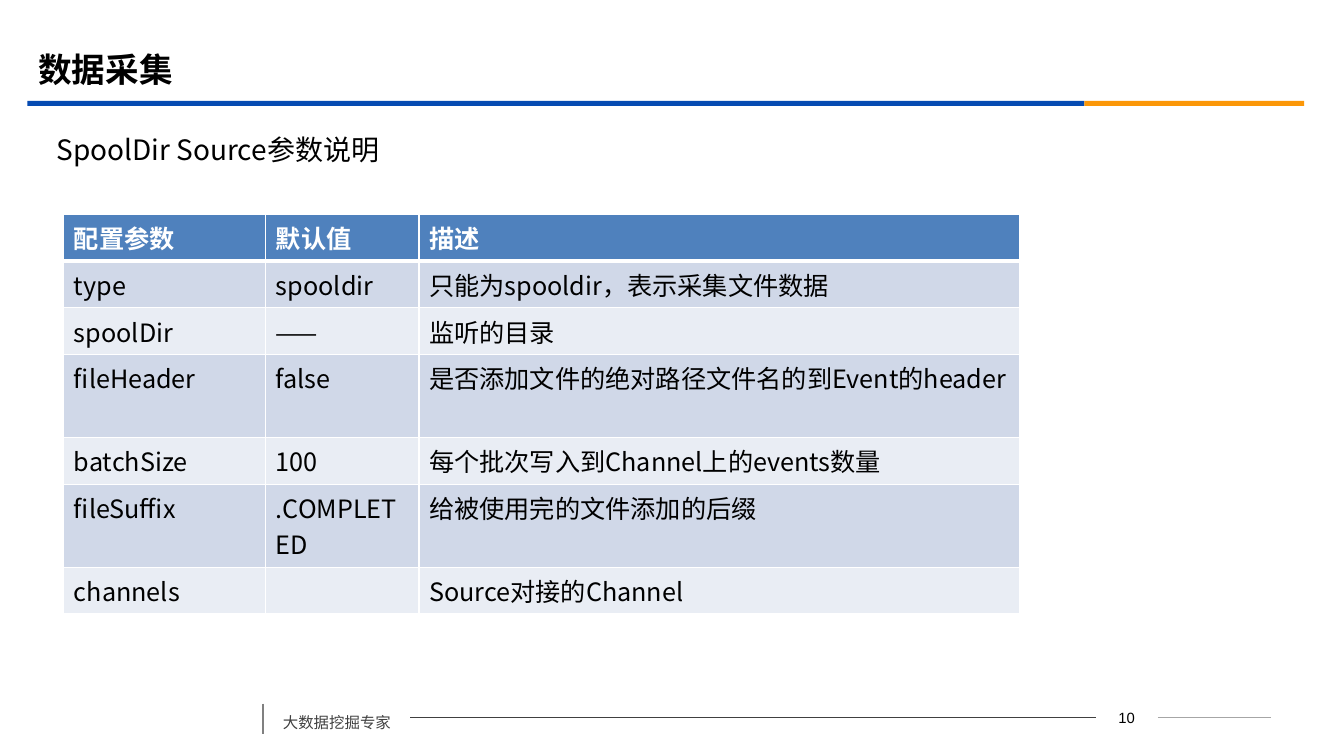
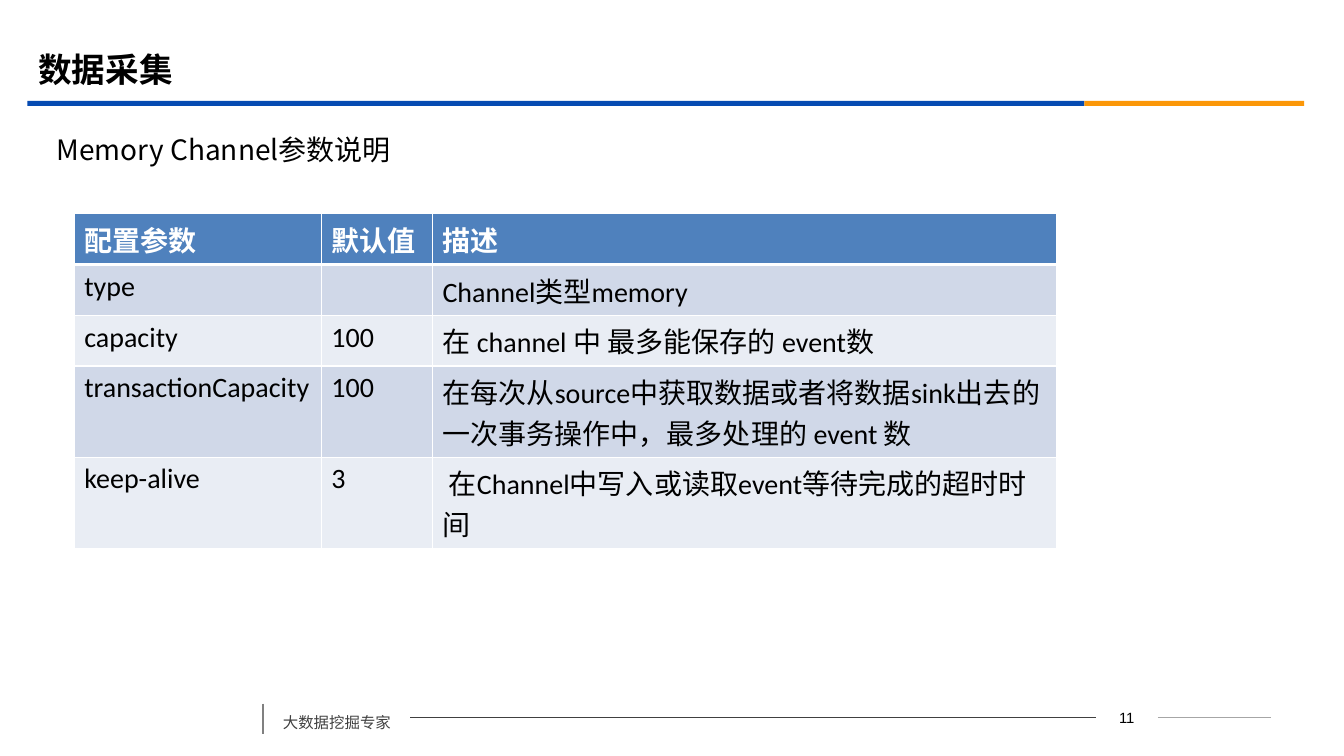
from dataclasses import dataclass
from itertools import product

from lxml import etree
from pptx import Presentation
from pptx import util as u
from pptx.dml.color import RGBColor
from pptx.enum import shapes, text
from pptx.oxml.ns import qn

CJK, BLUE, ORANGE = "Noto Sans CJK SC", "064BB2", "FB9708"
HEADER, BANDS = "4F81BD", ("D0D8E8", "E9EDF4")
TITLE_STYLE = {"size": u.Pt(24), "name": CJK, "bold": True}
SUBTITLE_STYLE = {"size": u.Pt(20), "name": CJK, "bold": False}
RULE_Y = 18.08
LINE_FACTOR, CELL_PADDING = 1.45, 7.2


@dataclass(frozen=True)
class Box:
    left: float
    top: float
    width: float
    height: float

    def lengths(self) -> list:
        return [u.Cm(v) for v in (self.left, self.top, self.width, self.height)]


@dataclass(frozen=True)
class ParameterPage:
    number: int
    subtitle: str
    left: float
    top: float
    columns: tuple
    font: str
    size: int
    two_line_rows: tuple
    rows: tuple

    def row_heights(self) -> list:
        lines = [2 if row in self.two_line_rows else 1 for row in range(len(self.rows) + 1)]
        return [u.Pt(LINE_FACTOR * self.size * count + CELL_PADDING) for count in lines]


HEADINGS = ("配置参数", "默认值", "描述")
PAGES = (
    ParameterPage(10, "SpoolDir Source参数说明", 1.61, 5.41, (5.09, 3.86, 15.14), CJK, 18, (3, 5), (
        ("type", "spooldir", "只能为spooldir，表示采集文件数据"),
        ("spoolDir", "——", "监听的目录"),
        ("fileHeader", "false", "是否添加文件的绝对路径文件名的到Event的header"),
        ("batchSize", "100", "每个批次写入到Channel上的events数量"),
        ("fileSuffix", ".COMPLETED", "给被使用完的文件添加的后缀"),
        ("channels", "", "Source对接的Channel"),
    )),
    ParameterPage(11, "Memory Channel参数说明", 1.87, 5.39, (6.23, 2.8, 15.72), "Calibri", 20, (3, 4), (
        ("type", "", "Channel类型memory"),
        ("capacity", "100", "在 channel 中 最多能保存的 event数"),
        ("transactionCapacity", "100",
         "在每次从source中获取数据或者将数据sink出去的一次事务操作中，最多处理的 event 数"),
        ("keep-alive", "3", " 在Channel中写入或读取event等待完成的超时时间"),
    )),
)


def colour(value: str) -> RGBColor:
    """Turn a hex string into a colour."""
    return RGBColor.from_string(value)


def write(frame, words: str, style: dict, ink: str = "000000") -> None:
    """Put one formatted run into a text frame."""
    run = frame.paragraphs[0].add_run()
    run.text = words
    for key, value in style.items():
        setattr(run.font, key, value)
    run.font.color.rgb = colour(ink)
    etree.SubElement(run.font._element, qn("a:ea")).set("typeface", CJK)


def fill_placeholder(holder, box: Box, words: str, style: dict) -> None:
    """Move a placeholder and write its text without a bullet."""
    holder.left, holder.top, holder.width, holder.height = box.lengths()
    frame = holder.text_frame
    frame.auto_size = text.MSO_AUTO_SIZE.NONE
    frame.vertical_anchor = text.MSO_ANCHOR.MIDDLE
    paragraph = frame.paragraphs[0]
    paragraph.alignment = text.PP_ALIGN.LEFT
    paragraph.space_before = u.Pt(0)
    properties = paragraph._p.get_or_add_pPr()
    properties.set("marL", "0")
    properties.set("indent", "0")
    etree.SubElement(properties, qn("a:buNone"))
    write(frame, words, style)


def add_band(slide, box: Box, fill: str) -> None:
    """Draw one part of the coloured band under the title."""
    band = slide.shapes.add_shape(shapes.MSO_SHAPE.RECTANGLE, *box.lengths())
    band.shadow.inherit = False
    band.fill.solid()
    band.fill.fore_color.rgb = colour(fill)
    band.line.fill.background()


def add_rule(slide, start: tuple, end: tuple, ink: str, weight: float):
    """Draw a straight line without a shadow."""
    points = [u.Cm(v) for v in (*start, *end)]
    rule = slide.shapes.add_connector(shapes.MSO_CONNECTOR.STRAIGHT, *points)
    rule.line.color.rgb = colour(ink)
    rule.line.width = u.Pt(weight)
    etree.SubElement(rule._element.spPr, qn("a:effectLst"))
    return rule


def add_label(slide, box: Box, words: str, style: dict, ink: str, layout: dict):
    """Add a footer text box with the given paragraph layout."""
    label = slide.shapes.add_textbox(*box.lengths())
    label.text_frame.word_wrap = True
    for key, value in layout.items():
        setattr(label.text_frame.paragraphs[0], key, value)
    write(label.text_frame, words, style, ink)
    return label


def add_frame(slide, number: int) -> None:
    """Draw the band and the footer that all slides share."""
    add_band(slide, Box(0.69, 2.54, 26.64, 0.13), BLUE)
    add_band(slide, Box(27.33, 2.54, 5.54, 0.13), ORANGE)
    motto = add_label(slide, Box(6.88, RULE_Y - 0.48, 3.46, 0.96), "大数据挖掘专家",
                      {"size": u.Pt(11), "name": CJK}, "404040", {"line_spacing": 1.5})
    page = add_label(slide, Box(27.61, RULE_Y - 0.32, 1.57, 0.64), str(number),
                     {"size": u.Pt(10.6), "name": "Arial"}, "000000",
                     {"alignment": text.PP_ALIGN.CENTER})
    page.text_frame.vertical_anchor = text.MSO_ANCHOR.MIDDLE
    add_rule(slide, (6.63, 17.73), (6.63, 18.49), "808080", 1.25)
    long_rule = add_rule(slide, (10.34, RULE_Y), (27.61, RULE_Y), "404040", 0.75)
    long_rule.begin_connect(motto, 3)
    long_rule.end_connect(page, 1)
    short_rule = add_rule(slide, (29.18, RULE_Y), (32.03, RULE_Y), "A6A6A6", 0.75)
    short_rule.begin_connect(page, 3)


def add_borders(cell, row: int) -> None:
    """Give a cell white borders, with a thick one under the header."""
    properties = cell._tc.get_or_add_tcPr()
    thick = {(0, "lnB"), (1, "lnT")}
    for place, side in enumerate(("lnL", "lnR", "lnT", "lnB")):
        border = etree.Element(qn(f"a:{side}"), w=str(u.Pt(3 if (row, side) in thick else 1)))
        solid = etree.SubElement(border, qn("a:solidFill"))
        etree.SubElement(solid, qn("a:srgbClr"), val="FFFFFF")
        properties.insert(place, border)


def add_parameters(slide, page: ParameterPage) -> None:
    """Build the table of parameters with rows as tall as their text."""
    content = (HEADINGS, *page.rows)
    heights = page.row_heights()
    box = Box(page.left, page.top, sum(page.columns), u.Length(sum(heights)).cm)
    parameters = slide.shapes.add_table(len(content), len(HEADINGS), *box.lengths()).table
    for column, width in zip(parameters.columns, page.columns):
        column.width = u.Cm(width)
    for line, height in zip(parameters.rows, heights):
        line.height = height
    for row, column in product(range(len(content)), range(len(HEADINGS))):
        cell = parameters.cell(row, column)
        cell.fill.solid()
        cell.fill.fore_color.rgb = colour(BANDS[(row - 1) % 2] if row else HEADER)
        add_borders(cell, row)
        if content[row][column]:
            style = {"size": u.Pt(page.size), "name": page.font, "bold": row == 0}
            write(cell.text_frame, content[row][column], style, "000000" if row else "FFFFFF")


def main() -> None:
    """Build and save the presentation."""
    deck = Presentation()
    deck.slide_width, deck.slide_height = u.Cm(33.87), u.Cm(19.05)
    for page in PAGES:
        slide = deck.slides.add_slide(deck.slide_layouts[1])
        add_frame(slide, page.number)
        fill_placeholder(slide.shapes.title, Box(0.71, 1.01, 30.48, 1.47), "数据采集", TITLE_STYLE)
        fill_placeholder(slide.placeholders[1], Box(1.17, 3.16, 30.86, 1.19),
                         page.subtitle, SUBTITLE_STYLE)
        add_parameters(slide, page)
    deck.save("out.pptx")


if __name__ == "__main__":
    main()
